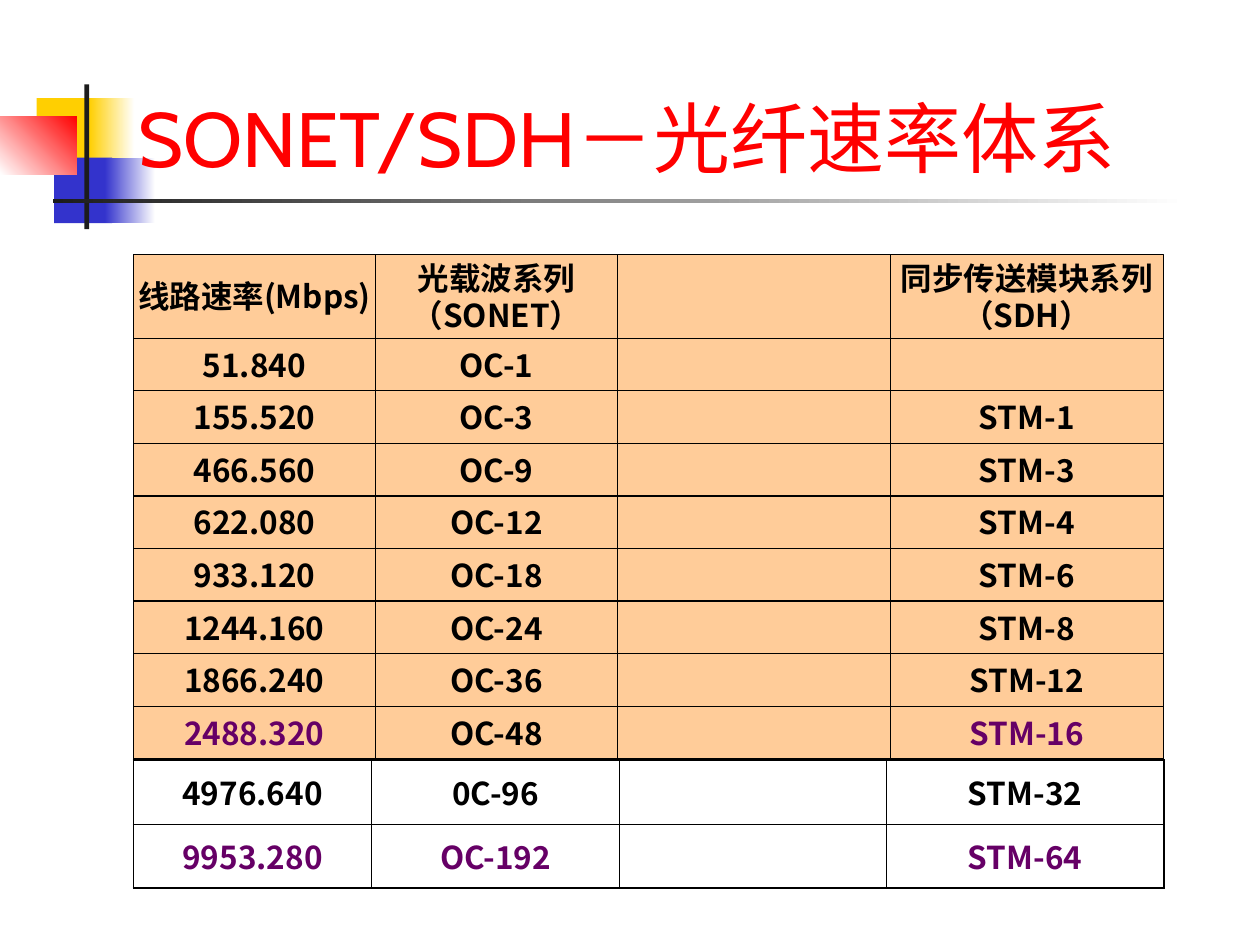
"""Build the SONET/SDH optical line rate slide."""
from itertools import accumulate

from lxml import etree
from pptx import Presentation
from pptx.dml.color import RGBColor
from pptx.enum.shapes import MSO_SHAPE
from pptx.enum.text import MSO_ANCHOR, MSO_AUTO_SIZE, PP_ALIGN
from pptx.oxml.ns import qn
from pptx.util import Cm, Pt

TITLE = "SONET/SDH－光纤速率体系"
HEADER = ("线路速率(Mbps)", "光载波系列\n（SONET）", "", "同步传送模块系列\n（SDH）")
RATES = [
    ("51.840", "OC-1", "", ""),
    ("155.520", "OC-3", "", "STM-1"),
    ("466.560", "OC-9", "", "STM-3"),
    ("622.080", "OC-12", "", "STM-4"),
    ("933.120", "OC-18", "", "STM-6"),
    ("1244.160", "OC-24", "", "STM-8"),
    ("1866.240", "OC-36", "", "STM-12"),
    ("2488.320", "OC-48", "", "STM-16"),
]
HIGH_RATES = [
    ("4976.640", "0C-96", "", "STM-32"),
    ("9953.280", "OC-192", "", "STM-64"),
]
HIGHLIGHTED = {"2488.320", "STM-16", *HIGH_RATES[-1]}

THEME = {
    "title": "FF0000", "text": "000000", "highlight": "660066",
    "cell": "FFCC99", "border": "000000",
    "yellow": "FFCF01", "blue": "3333CC", "red": "FF0000",
    "ink": "1C1C1C", "white": "FFFFFF",
    "title_font": "Cabin", "body_font": "Noto Sans CJK SC",
    "title_size": 44, "body_size": 18,
    "cell_line": 0.75, "outer_line": 1.08, "inner_line": 0.45,
}

ORNAMENTS = [
    ((0.74, 1.98, 1.22, 1.32), ("yellow",), 0),
    ((1.8, 1.98, 0.91, 1.32), ("yellow", "white"), 0),
    ((1.09, 3.18, 1.17, 1.32), ("blue",), 0),
    ((2.11, 3.18, 1.02, 1.32), ("blue", "white"), 0),
    ((0, 2.34, 1.55, 1.17), ("white", "red"), 45),
    ((1.7, 1.7, 0.1, 2.92), ("ink",), 0),
    ((1.07, 4.01, 22.86, 0.08), ("ink", "white"), 0),
]

GRID_LEFT, GRID_TOP = 2.69, 5.13
GRID_WIDTHS = (4.88, 4.88, 5.5, 5.5)
HEADER_HEIGHT, RATE_HEIGHT = 1.69, 1.06
TABLE_TOP, TABLE_ROW_HEIGHT = 15.32, 1.29
TABLE_WIDTHS = (4.8, 5.0, 5.38, 5.59)


def color(name):
    return RGBColor.from_string(THEME[name])


def add_rectangle(slide, box, colors, angle=0):
    rectangle = slide.shapes.add_shape(MSO_SHAPE.RECTANGLE, *map(Cm, box))
    rectangle.shadow.inherit = False
    rectangle.line.fill.background()
    if len(colors) == 1:
        rectangle.fill.solid()
        rectangle.fill.fore_color.rgb = color(colors[0])
    else:
        rectangle.fill.gradient()
        rectangle.fill.gradient_angle = angle
        for stop, name in zip(rectangle.fill.gradient_stops, colors):
            stop.color.rgb = color(name)
    return rectangle


def write_label(frame, label):
    for number, line in enumerate(label.split("\n")):
        paragraph = frame.add_paragraph() if number else frame.paragraphs[0]
        paragraph.alignment = PP_ALIGN.CENTER
        run = paragraph.add_run()
        run.text = line
        run.font.name = THEME["body_font"]
        run.font.size = Pt(THEME["body_size"])
        run.font.bold = True
        run.font.color.rgb = color("highlight" if label in HIGHLIGHTED else "text")
        east_asian = etree.Element(qn("a:ea"), typeface=THEME["body_font"])
        run.font._element.find(qn("a:latin")).addnext(east_asian)


def add_title(slide):
    title = slide.shapes.title
    title.left, title.top, title.width, title.height = map(Cm, (2.54, 1.47, 21.64, 2.34))
    frame = title.text_frame
    frame.word_wrap = True
    frame.auto_size = MSO_AUTO_SIZE.NONE
    frame.vertical_anchor = MSO_ANCHOR.BOTTOM
    paragraph = frame.paragraphs[0]
    paragraph.alignment = PP_ALIGN.LEFT
    run = paragraph.add_run()
    run.text = TITLE
    run.font.name = THEME["title_font"]
    run.font.size = Pt(THEME["title_size"])
    run.font.color.rgb = color("title")
    title.element.getparent().append(title.element)


def add_rate_grid(slide):
    lefts = list(accumulate(GRID_WIDTHS, initial=GRID_LEFT))
    heights = [HEADER_HEIGHT] + [RATE_HEIGHT] * len(RATES)
    tops = accumulate(heights, initial=GRID_TOP)
    for labels, top, height in zip([HEADER, *RATES], tops, heights):
        for label, left, width in zip(labels, lefts, GRID_WIDTHS):
            cell = add_rectangle(slide, (left, top, width, height), ("cell",))
            cell.line.color.rgb = color("border")
            cell.line.width = Pt(THEME["cell_line"])
            if label:
                cell.text_frame.word_wrap = False
                cell.text_frame.vertical_anchor = MSO_ANCHOR.MIDDLE
                write_label(cell.text_frame, label)


def set_borders(cell, outer_sides):
    properties = cell._tc.get_or_add_tcPr()
    for position, (side, outer) in enumerate(zip("LRTB", outer_sides)):
        width = Pt(THEME["outer_line" if outer else "inner_line"])
        border = etree.Element(qn(f"a:ln{side}"), w=str(int(width)))
        fill = etree.SubElement(border, qn("a:solidFill"))
        etree.SubElement(fill, qn("a:srgbClr"), val=THEME["border"])
        properties.insert(position, border)


def add_high_rate_table(slide):
    rows, columns = len(HIGH_RATES), len(TABLE_WIDTHS)
    box = (GRID_LEFT, TABLE_TOP, sum(TABLE_WIDTHS), rows * TABLE_ROW_HEIGHT)
    table = slide.shapes.add_table(rows, columns, *map(Cm, box)).table
    table.first_row = table.horz_banding = False
    for column, width in zip(table.columns, TABLE_WIDTHS):
        column.width = Cm(width)
    for r, labels in enumerate(HIGH_RATES):
        table.rows[r].height = Cm(TABLE_ROW_HEIGHT)
        for c, label in enumerate(labels):
            cell = table.cell(r, c)
            cell.fill.background()
            cell.vertical_anchor = MSO_ANCHOR.MIDDLE
            set_borders(cell, (c == 0, c == columns - 1, r == 0, r == rows - 1))
            if label:
                write_label(cell.text_frame, label)


def main():
    presentation = Presentation()
    presentation.slide_width, presentation.slide_height = Cm(25.4), Cm(19.05)
    slide = presentation.slides.add_slide(presentation.slide_layouts[5])
    for ornament in ORNAMENTS:
        add_rectangle(slide, *ornament)
    add_title(slide)
    add_rate_grid(slide)
    add_high_rate_table(slide)
    presentation.save("out.pptx")


if __name__ == "__main__":
    main()
